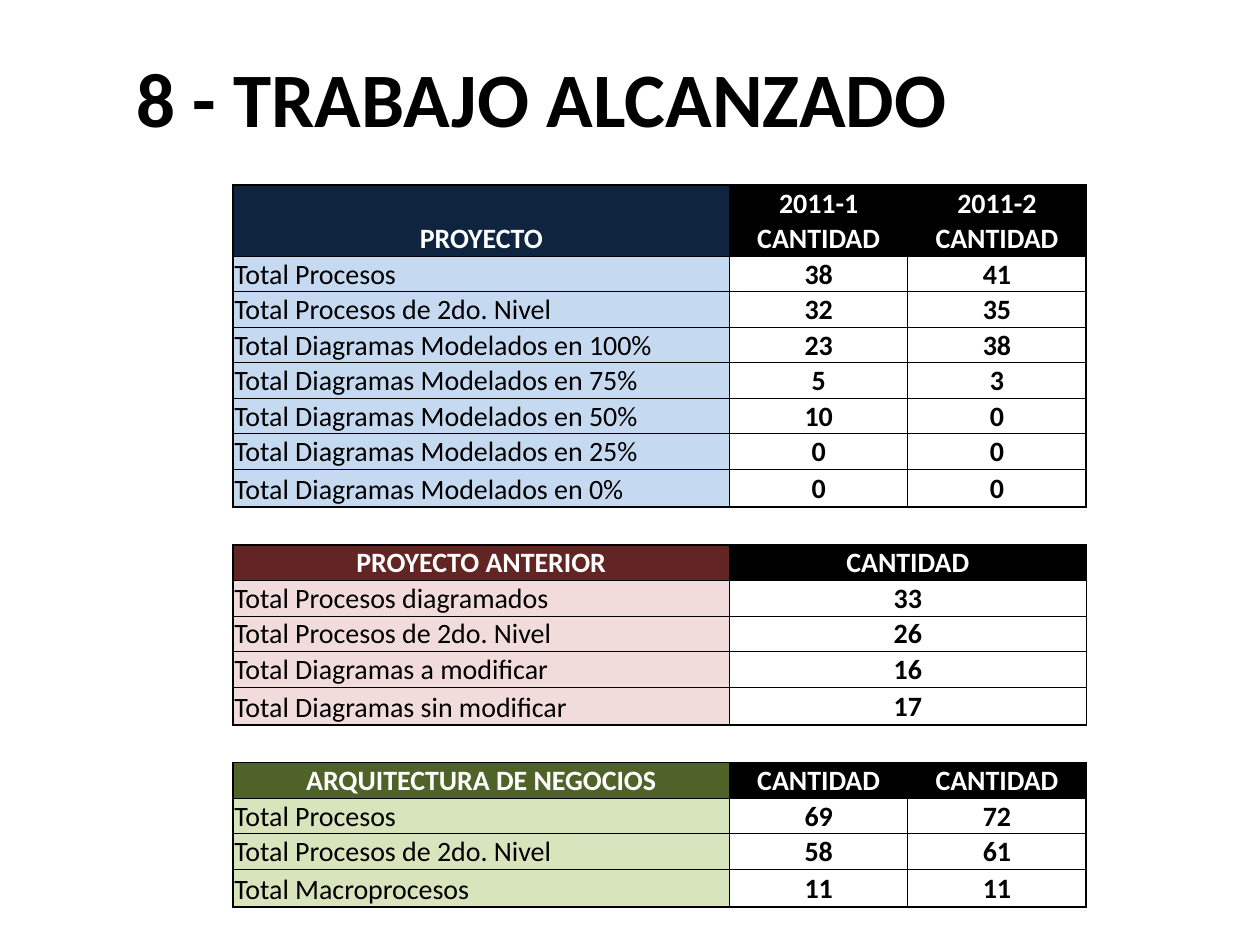
from lxml.etree import SubElement
from pptx import Presentation
from pptx.dml.color import RGBColor
from pptx.enum.text import MSO_ANCHOR as Anchor, PP_ALIGN as Align
from pptx.oxml import parse_xml
from pptx.oxml.ns import nsdecls, qn
from pptx.util import Inches, Pt

FONT = "Calibri"
BLACK, WHITE = "000000", "FFFFFF"
SECTIONS = [
    ("0F243E", "C5D9F1", 2, [
        ("PROYECTO", "2011-1", "2011-2"),
        ("", "CANTIDAD", "CANTIDAD"),
        ("Total Procesos", "38", "41"),
        ("Total Procesos de 2do. Nivel", "32", "35"),
        ("Total Diagramas Modelados en 100%", "23", "38"),
        ("Total Diagramas Modelados en 75%", "5", "3"),
        ("Total Diagramas Modelados en 50%", "10", "0"),
        ("Total Diagramas Modelados en 25%", "0", "0"),
        ("Total Diagramas Modelados en 0%", "0", "0"),
    ]),
    ("632523", "F2DCDB", 1, [
        ("PROYECTO ANTERIOR", "CANTIDAD"),
        ("Total Procesos diagramados", "33"),
        ("Total Procesos de 2do. Nivel", "26"),
        ("Total Diagramas a modificar", "16"),
        ("Total Diagramas sin modificar", "17"),
    ]),
    ("4F6228", "D8E4BC", 1, [
        ("ARQUITECTURA DE NEGOCIOS", "CANTIDAD", "CANTIDAD"),
        ("Total Procesos", "69", "72"),
        ("Total Procesos de 2do. Nivel", "58", "61"),
        ("Total Macroprocesos", "11", "11"),
    ]),
]


def rgb(value):
    """Turn a hex string into a colour."""
    return RGBColor.from_string(value)


def format_font(font, size, color, bold):
    """Set the look of a font."""
    font.name, font.size, font.bold = FONT, Pt(size), bold
    font.color.rgb = rgb(color)


def set_borders(cell, widths):
    """Draw left, right, top and bottom borders; None means no line."""
    tc_pr = cell._tc.get_or_add_tcPr()
    for i, (side, width) in enumerate(zip("LRTB", widths)):
        ln = parse_xml(f"<a:ln{side} {nsdecls('a')}/>")
        if width is None:
            SubElement(ln, qn("a:noFill"))
        else:
            ln.set("w", str(Pt(width)))
            fill = SubElement(ln, qn("a:solidFill"))
            SubElement(fill, qn("a:srgbClr")).set("val", BLACK)
        tc_pr.insert(i, ln)


def fill_cell(cell, text, fill=None, color=BLACK, bold=True, align=Align.CENTER,
              anchor=Anchor.MIDDLE):
    """Write and format one cell."""
    cell.margin_left = cell.margin_right = cell.margin_top = Inches(0.01)
    cell.margin_bottom = 0
    cell.vertical_anchor = anchor
    if fill:
        cell.fill.solid()
        cell.fill.fore_color.rgb = rgb(fill)
    else:
        cell.fill.background()
    p = cell.text_frame.paragraphs[0]
    p.text, p.alignment = text, align
    format_font(p.font, 16, color, bold)
    for r in p.runs:
        format_font(r.font, 16, color, bold)


def add_section(table, top, dark, light, heads, rows):
    """Fill one block of the table, starting at row top."""
    last = len(rows) - 1
    for i, row in enumerate(rows):
        head = i < heads
        color = WHITE if head else BLACK
        for j in range(3):
            cell = table.cell(top + i, j)
            text = row[j] if j < len(row) else ""
            if j:
                fill_cell(cell, text, BLACK if head else None, color)
            else:
                fill_cell(cell, text, dark if head else light, color, head,
                          Align.CENTER if head else Align.LEFT, Anchor.BOTTOM)
            outer = (j == 0, j == 2, i == 0, i == last)
            set_borders(cell, [1 if edge else 0.5 for edge in outer])
        if len(row) == 2:
            table.cell(top + i, 1).merge(table.cell(top + i, 2))
    if heads > 1:
        table.cell(top, 0).merge(table.cell(top + heads - 1, 0))


def add_spacer(table, row):
    """Leave one row open between two blocks."""
    for cell in table.rows[row].cells:
        fill_cell(cell, "")
        set_borders(cell, (None, None, 1, 1))


def add_results(slide, left, top, width, height):
    """Place the table with its three blocks."""
    count = sum(len(rows) for *_, rows in SECTIONS) + len(SECTIONS) - 1
    table = slide.shapes.add_table(count, 3, left, top, width, height).table
    table.first_row = table.horz_banding = False
    label_w = Inches(3.94)
    table.columns[0].width = label_w
    for j in (1, 2):
        table.columns[j].width = (width - label_w) // 2

    tall, row = set(), 0
    for dark, light, heads, rows in SECTIONS:
        if row:
            add_spacer(table, row)
            tall.add(row)
            row += 1
        add_section(table, row, dark, light, heads, rows)
        row += len(rows)
        tall.add(row - 1)

    tall_h = Inches(0.3)
    row_h = (height - len(tall) * tall_h) // (count - len(tall))
    for i, table_row in enumerate(table.rows):
        table_row.height = tall_h if i in tall else row_h


def add_title(slide, left, top, width, height):
    """Place the slide title."""
    s = slide.shapes.title
    s.left, s.top, s.width, s.height = left, top, width, height
    tf = s.text_frame
    tf.text = "8 - TRABAJO ALCANZADO"
    tf.vertical_anchor = Anchor.MIDDLE
    p = tf.paragraphs[0]
    p.alignment = Align.CENTER
    format_font(p.runs[0].font, 44, BLACK, True)


def main():
    """Build the slide and save it."""
    prs = Presentation()
    prs.slide_width, prs.slide_height = Inches(10), Inches(7.5)
    slide = prs.slides.add_slide(prs.slide_layouts[5])
    add_title(slide, Inches(-0.2), Inches(0.22), Inches(9), Inches(1.09))
    add_results(slide, Inches(1.85), Inches(1.47), Inches(6.77), Inches(5.72))
    prs.save("out.pptx")


if __name__ == "__main__":
    main()
